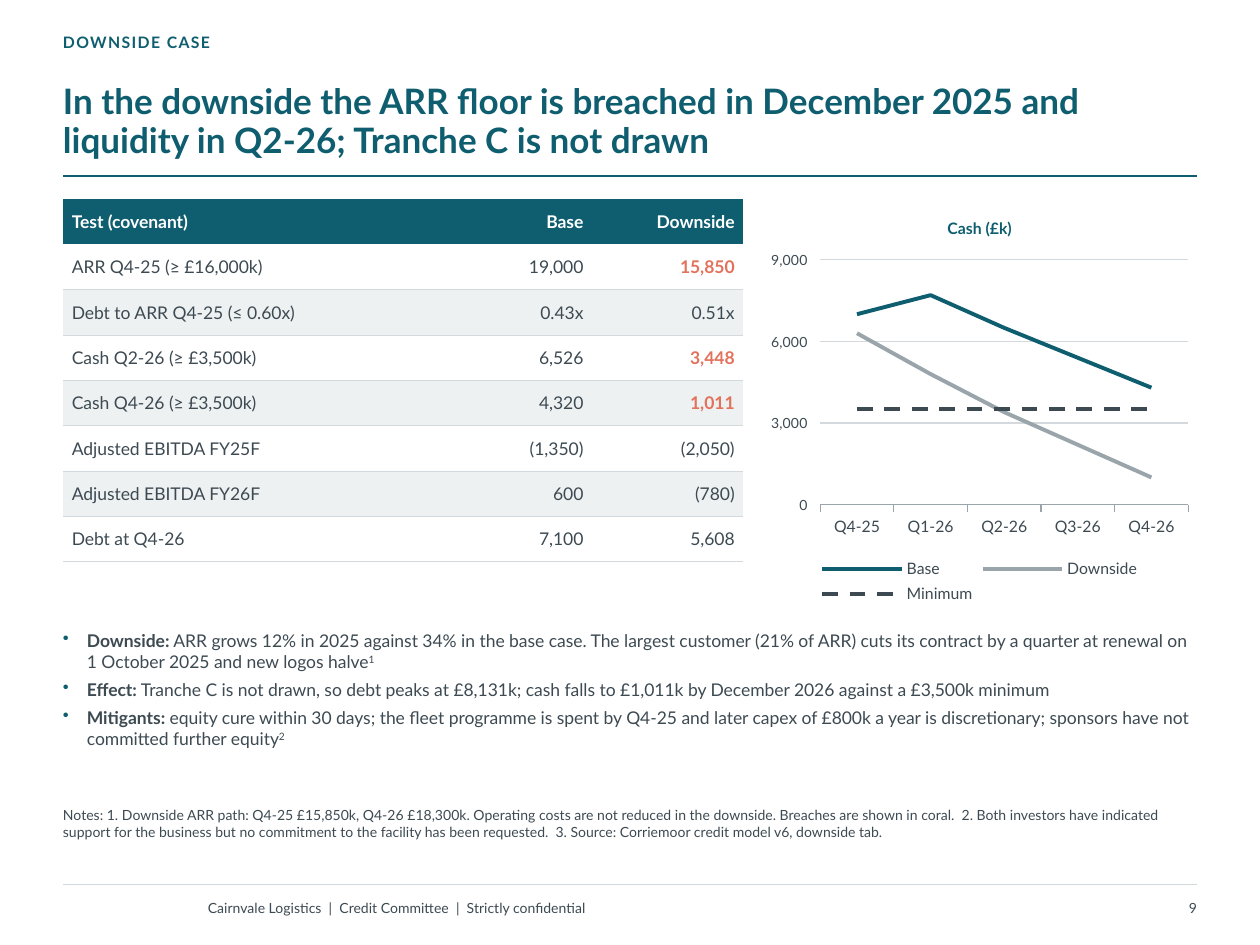
from dataclasses import dataclass

from lxml import etree
from pptx import Presentation
from pptx.chart.data import CategoryChartData
from pptx.dml.color import RGBColor
from pptx.enum import chart as charts, dml, shapes, text
from pptx.oxml import ns
from pptx.util import Inches, Pt

COLUMNS, ROWS = 100, 75
WIDTH, HEIGHT = Inches(10), Inches(7.5)


@dataclass(frozen=True)
class Theme:
    font: str = "Lato"
    teal: str = "0E5E6F"
    ink: str = "3D4A52"
    coral: str = "E2725B"
    grey: str = "9AA5AB"
    rule: str = "D3D9DC"
    band: str = "EEF1F2"
    white: str = "FFFFFF"
    title: int = 20
    body: int = 10
    label: int = 9
    small: int = 8


@dataclass(frozen=True)
class Box:
    left: float
    top: float
    width: float
    height: float = 0

    def frame(self):
        return across(self.left), down(self.top), across(self.width), down(self.height)


THEME = Theme()

TESTS = [
    ("Test (covenant)", "Base", "Downside"),
    ("ARR Q4-25 (≥ £16,000k)", "19,000", "15,850"),
    ("Debt to ARR Q4-25 (≤ 0.60x)", "0.43x", "0.51x"),
    ("Cash Q2-26 (≥ £3,500k)", "6,526", "3,448"),
    ("Cash Q4-26 (≥ £3,500k)", "4,320", "1,011"),
    ("Adjusted EBITDA FY25F", "(1,350)", "(2,050)"),
    ("Adjusted EBITDA FY26F", "600", "(780)"),
    ("Debt at Q4-26", "7,100", "5,608"),
]
BREACHES = {"15,850", "3,448", "1,011"}
QUARTERS = ["Q4-25", "Q1-26", "Q2-26", "Q3-26", "Q4-26"]
CASH = [
    ("Base", [7000, 7700, 6500, 5400, 4300], THEME.teal),
    ("Downside", [6300, 4800, 3400, 2200, 1000], THEME.grey),
    ("Minimum", [3500] * len(QUARTERS), THEME.ink),
]
POINTS = [
    ("Downside:", " ARR grows 12% in 2025 against 34% in the base case. The largest customer "
     "(21% of ARR) cuts its contract by a quarter at renewal on 1 October 2025 and new logos halve", "1"),
    ("Effect:", " Tranche C is not drawn, so debt peaks at £8,131k; cash falls to £1,011k "
     "by December 2026 against a £3,500k minimum", ""),
    ("Mitigants:", " equity cure within 30 days; the fleet programme is spent by Q4-25 and later capex "
     "of £800k a year is discretionary; sponsors have not committed further equity", "2"),
]
NOTES = ("Notes: 1. Downside ARR path: Q4-25 £15,850k, Q4-26 £18,300k. Operating costs are not reduced "
         "in the downside. Breaches are shown in coral.  2. Both investors have indicated support for the "
         "business but no commitment to the facility has been requested.  3. Source: Corriemoor credit "
         "model v6, downside tab.")


def across(columns):
    return round(WIDTH * columns / COLUMNS)


def down(rows):
    return round(HEIGHT * rows / ROWS)


def style(font, size, color=THEME.ink, bold=False):
    font.name, font.size, font.bold = THEME.font, Pt(size), bold
    font.color.rgb = RGBColor.from_string(color)


def stroke(line, color, width):
    line.color.rgb = RGBColor.from_string(color)
    line.width = Pt(width)


def add_element(parent, tag, **attributes):
    return etree.SubElement(parent, ns.qn(tag), **attributes)


def add_frame(page, box, anchor=text.MSO_ANCHOR.TOP, bottom=0, top=0):
    frame = page.shapes.add_textbox(*box.frame()).text_frame
    frame.word_wrap = True
    frame.vertical_anchor = anchor
    frame.margin_left = frame.margin_right = 0
    frame.margin_top, frame.margin_bottom = down(top), down(bottom)
    return frame


def add_line_of_text(frame, words, size, color=THEME.ink, bold=False):
    para = frame.paragraphs[0]
    para.add_run().text = words
    style(para.font, size, color, bold)
    return para


def add_rule(page, box, color, width):
    left, top, length, _ = box.frame()
    rule = page.shapes.add_connector(shapes.MSO_CONNECTOR.STRAIGHT, left, top, left + length, top)
    stroke(rule.line, color, width)
    add_element(rule._element.spPr, "a:effectLst")


def add_heading(page, box):
    kicker = add_frame(page, Box(box.left, box.top, 70, 2.4))
    para = add_line_of_text(kicker, "DOWNSIDE CASE", THEME.label, THEME.teal, True)
    para.runs[0]._r.get_or_add_rPr().set("spc", "80")
    title = add_frame(page, Box(box.left, box.top + 2.4, box.width, 8.2), text.MSO_ANCHOR.BOTTOM, bottom=0.4)
    para = add_line_of_text(
        title, "In the downside the ARR floor is breached in December 2025 and liquidity in Q2-26; "
        "Tranche C is not drawn", THEME.title, THEME.teal, True)
    para.line_spacing = 0.92
    add_rule(page, Box(box.left, box.top + box.height, box.width), THEME.teal, 1.25)


def fill_cell(cell, words, row, column):
    cell.margin_left = cell.margin_right = across(0.7)
    cell.margin_top = cell.margin_bottom = down(0.4)
    cell.vertical_anchor = text.MSO_ANCHOR.MIDDLE
    header, breach = row == 0, words in BREACHES
    color = THEME.white if header else THEME.coral if breach else THEME.ink
    para = add_line_of_text(cell.text_frame, words, THEME.body, color, header or breach)
    para.alignment = text.PP_ALIGN.RIGHT if column else text.PP_ALIGN.LEFT
    if not header:
        border = add_element(cell._tc.get_or_add_tcPr(), "a:lnB", w=str(Pt(0.5)))
        add_element(add_element(border, "a:solidFill"), "a:srgbClr", val=THEME.rule)
    if row % 2 and not header:
        cell.fill.background()
    else:
        cell.fill.solid()
        cell.fill.fore_color.rgb = RGBColor.from_string(THEME.teal if header else THEME.band)


def add_tests(page, box):
    table = page.shapes.add_table(len(TESTS), len(TESTS[0]), *box.frame()).table
    table.horz_banding = False
    table._tbl.tblPr.find(ns.qn("a:tableStyleId")).text = "{2D5ABB26-0587-4C30-8999-92F81FD0307C}"
    for column, share in zip(table.columns, (5, 2, 2)):
        column.width = across(box.width * share / 9)
    for row, values in enumerate(TESTS):
        table.rows[row].height = down(box.height / len(TESTS))
        for column, words in enumerate(values):
            fill_cell(table.cell(row, column), words, row, column)


def add_cash_chart(page, box):
    data = CategoryChartData(number_format="#,##0")
    data.categories = QUARTERS
    for name, values, _ in CASH:
        data.add_series(name, values)
    chart = page.shapes.add_chart(charts.XL_CHART_TYPE.LINE, *box.frame(), data).chart
    style(chart.font, THEME.label)
    chart.has_title = True
    add_line_of_text(chart.chart_title.text_frame, "Cash (£k)", THEME.label, THEME.teal, True)
    chart.chart_title.include_in_layout = False
    chart.has_legend = True
    chart.legend.position = charts.XL_LEGEND_POSITION.BOTTOM
    chart.legend.include_in_layout = False
    style(chart.legend.font, THEME.label)
    chart.plots[0].vary_by_categories = False
    for series, (_, _, color) in zip(chart.plots[0].series, CASH):
        series.smooth = False
        series.marker.style = charts.XL_MARKER_STYLE.NONE
        stroke(series.format.line, color, 2.25)
    series.format.line.dash_style = dml.MSO_LINE.DASH
    quarters, cash = chart.category_axis, chart.value_axis
    quarters.tick_label_position = charts.XL_TICK_LABEL_POSITION.LOW
    stroke(quarters.format.line, THEME.grey, 0.75)
    style(quarters.tick_labels.font, THEME.label)
    cash.minimum_scale, cash.maximum_scale, cash.major_unit = 0, 9000, 3000
    cash.format.line.fill.background()
    stroke(cash.major_gridlines.format.line, THEME.rule, 0.75)
    style(cash.tick_labels.font, THEME.small)
    cash.tick_labels.number_format = "#,##0"
    cash.tick_labels.number_format_is_linked = False


def add_points(page, box):
    frame = add_frame(page, box, top=0.2)
    for index, (lead, words, mark) in enumerate(POINTS):
        para = frame.add_paragraph() if index else frame.paragraphs[0]
        if index:
            para.space_before = Pt(4)
        properties = para._p.get_or_add_pPr()
        properties.set("marL", str(across(1.9)))
        properties.set("indent", str(-across(1.9)))
        add_element(add_element(properties, "a:buClr"), "a:srgbClr", val=THEME.teal)
        add_element(properties, "a:buChar", char="•")
        style(para.font, THEME.body)
        for words_part, bold, raised in ((lead, True, False), (words, False, False), (mark, False, True)):
            if words_part:
                span = para.add_run()
                span.text, span.font.bold = words_part, bold
                if raised:
                    span._r.get_or_add_rPr().set("baseline", "30000")


def add_footer(page, box):
    add_rule(page, box, THEME.rule, 0.75)
    top, height = box.top + 0.6, box.height - 0.6
    owner = add_frame(page, Box(box.left + 11.5, top, 56, height), text.MSO_ANCHOR.MIDDLE)
    add_line_of_text(owner, "Cairnvale Logistics  |  Credit Committee  |  Strictly confidential", THEME.small)
    number = add_frame(page, Box(box.left + box.width - 10, top, 10, height), text.MSO_ANCHOR.MIDDLE)
    add_line_of_text(number, "9", THEME.small).alignment = text.PP_ALIGN.RIGHT


def main():
    deck = Presentation()
    deck.slide_width, deck.slide_height = WIDTH, HEIGHT
    page = deck.slides.add_slide(deck.slide_layouts[6])
    add_heading(page, Box(5, 2.6, 90, 11.4))
    add_tests(page, Box(5, 15.8, 54, 28.8))
    add_cash_chart(page, Box(60.5, 15.8, 34.5, 32.5))
    add_points(page, Box(5, 49.8, 90, 13.4))
    add_line_of_text(add_frame(page, Box(5, 64, 90, 5.8)), NOTES, THEME.small)
    add_footer(page, Box(5, 70.2, 90, 3.2))
    deck.save("out.pptx")


if __name__ == "__main__":
    main()
